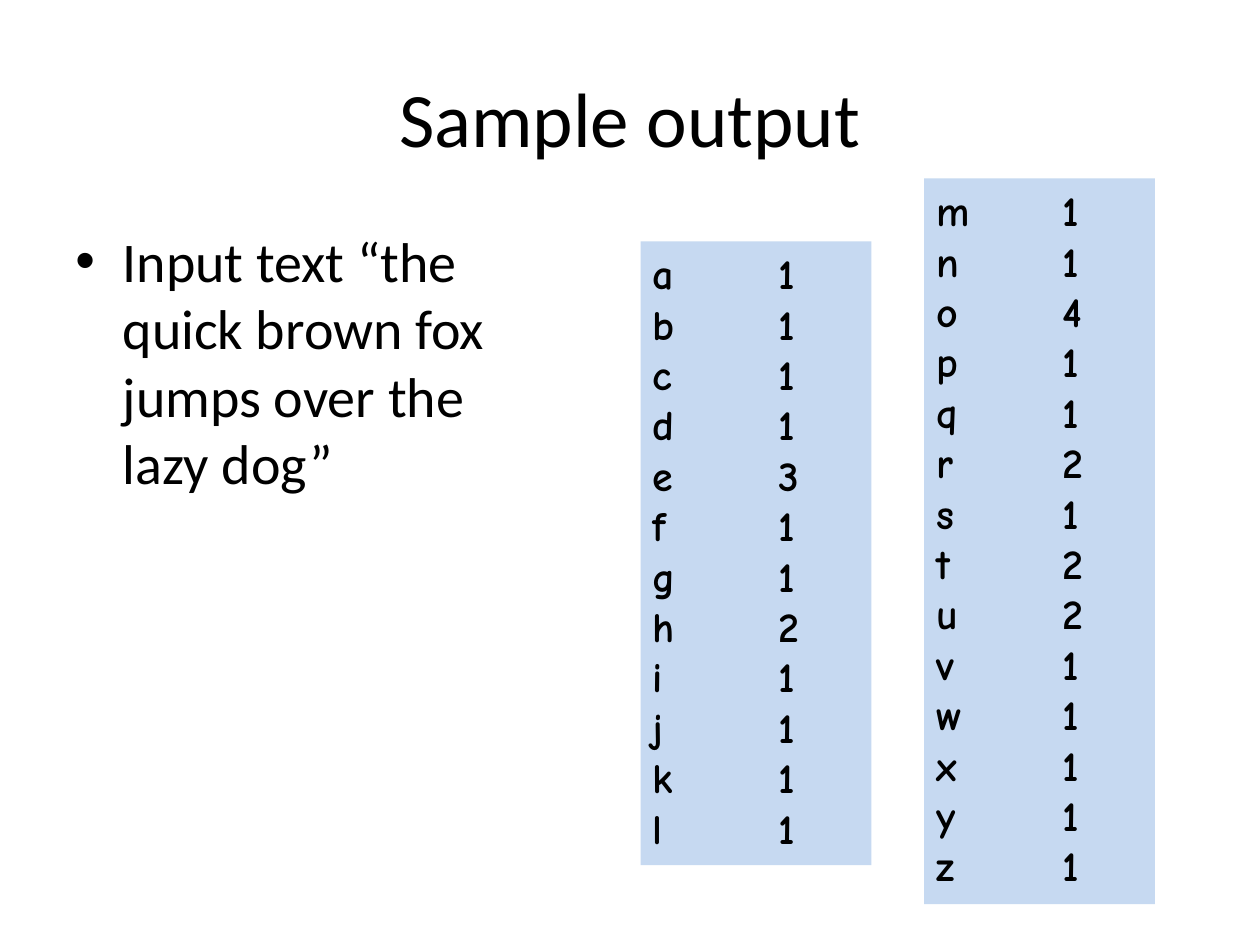
from lxml import etree
from pptx import Presentation
from pptx.dml.color import RGBColor
from pptx.enum.shapes import MSO_SHAPE
from pptx.enum.text import MSO_ANCHOR, MSO_AUTO_SIZE, PP_ALIGN
from pptx.oxml.ns import qn
from pptx.util import Pt

RECT = MSO_SHAPE.RECTANGLE
TOP, MIDDLE = MSO_ANCHOR.TOP, MSO_ANCHOR.MIDDLE
GROW = MSO_AUTO_SIZE.SHAPE_TO_FIT_TEXT
LEFT, CENTER = PP_ALIGN.LEFT, PP_ALIGN.CENTER
HUES = {"ink": "000000", "panel": "C6D9F1"}


def add_run(para, text, size, face, bold=False):
    run = para.add_run()
    run.text = text
    run.font.size = Pt(size)
    run.font.name = face
    run.font.bold = bold
    run.font.color.rgb = RGBColor.from_string(HUES["ink"])


deck = Presentation()
deck.slide_width, deck.slide_height = Pt(720), Pt(540)
slide = deck.slides.add_slide(deck.slide_layouts[5])

title = slide.shapes.title
title.left, title.top, title.width, title.height = Pt(36), Pt(21.6), Pt(648), Pt(90)
title.text_frame.vertical_anchor = MIDDLE
para = title.text_frame.paragraphs[0]
para.alignment = CENTER
add_run(para, "Sample output", 44, "Calibri")

body = slide.shapes.add_textbox(Pt(36), Pt(126), Pt(288), Pt(356.4))
body.text_frame.word_wrap = True
para = body.text_frame.paragraphs[0]
props = para._p.get_or_add_pPr()
props.set("marL", str(Pt(27)))
props.set("indent", str(-Pt(27)))
etree.SubElement(props, qn("a:buFont"), typeface="Arial")
etree.SubElement(props, qn("a:buChar"), char="•")
add_run(para, "Input text “the quick brown fox jumps over the lazy dog”", 32, "Calibri")

panels = [
    (366, 138, 356.4, "abcdefghijkl", "111131121111"),
    (528, 102, 414.72, "mnopqrstuvwxyz", "11411212211111"),
]
for left, top, height, keys, counts in panels:
    panel = slide.shapes.add_shape(RECT, Pt(left), Pt(top), Pt(132), Pt(height))
    panel.shadow.inherit = False
    panel.fill.solid()
    panel.fill.fore_color.rgb = RGBColor.from_string(HUES["panel"])
    panel.line.fill.background()
    frame = panel.text_frame
    frame.word_wrap = True
    frame.auto_size = GROW
    frame.vertical_anchor = TOP
    for i, (key, count) in enumerate(zip(keys, counts)):
        para = frame.add_paragraph() if i else frame.paragraphs[0]
        para.alignment = LEFT
        tabs = etree.SubElement(para._p.get_or_add_pPr(), qn("a:tabLst"))
        etree.SubElement(tabs, qn("a:tab"), pos=str(Pt(72)), algn="l")
        add_run(para, f"{key}\t{count}", 24, "Comic Neue", True)

deck.save("out.pptx")
